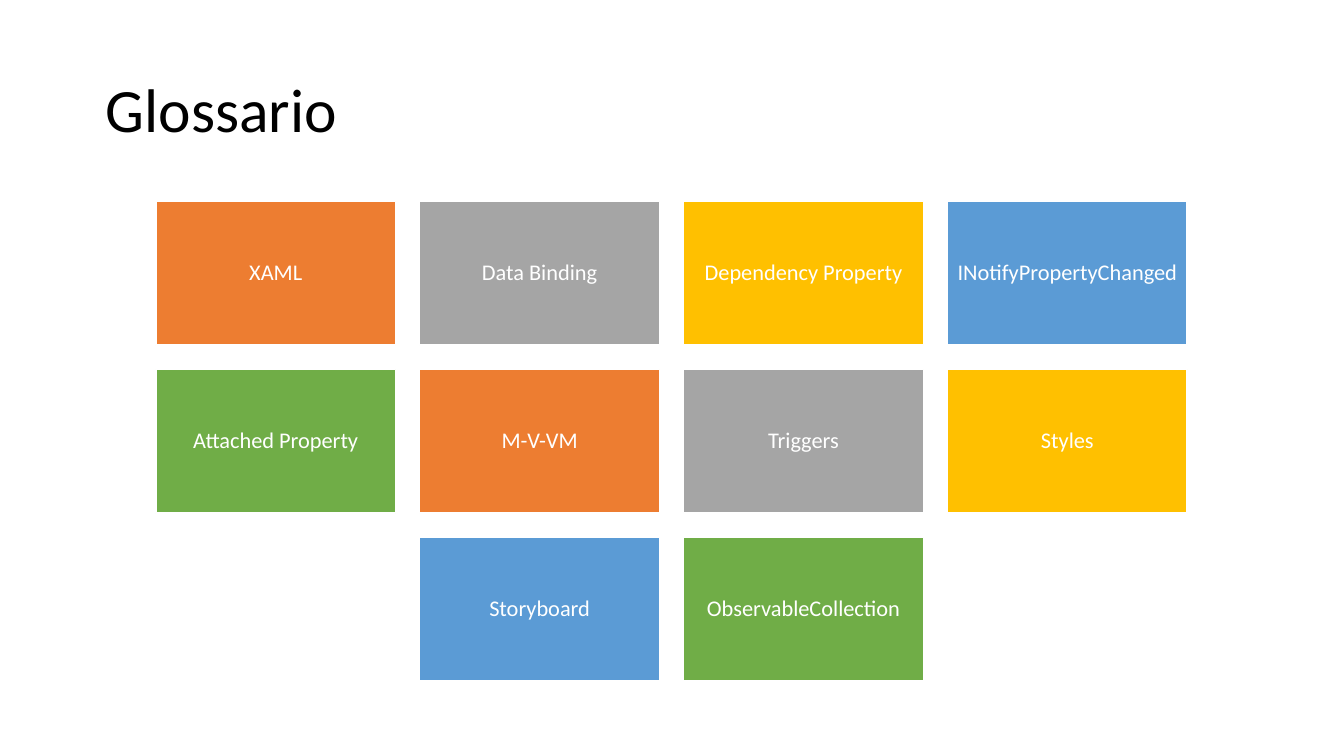
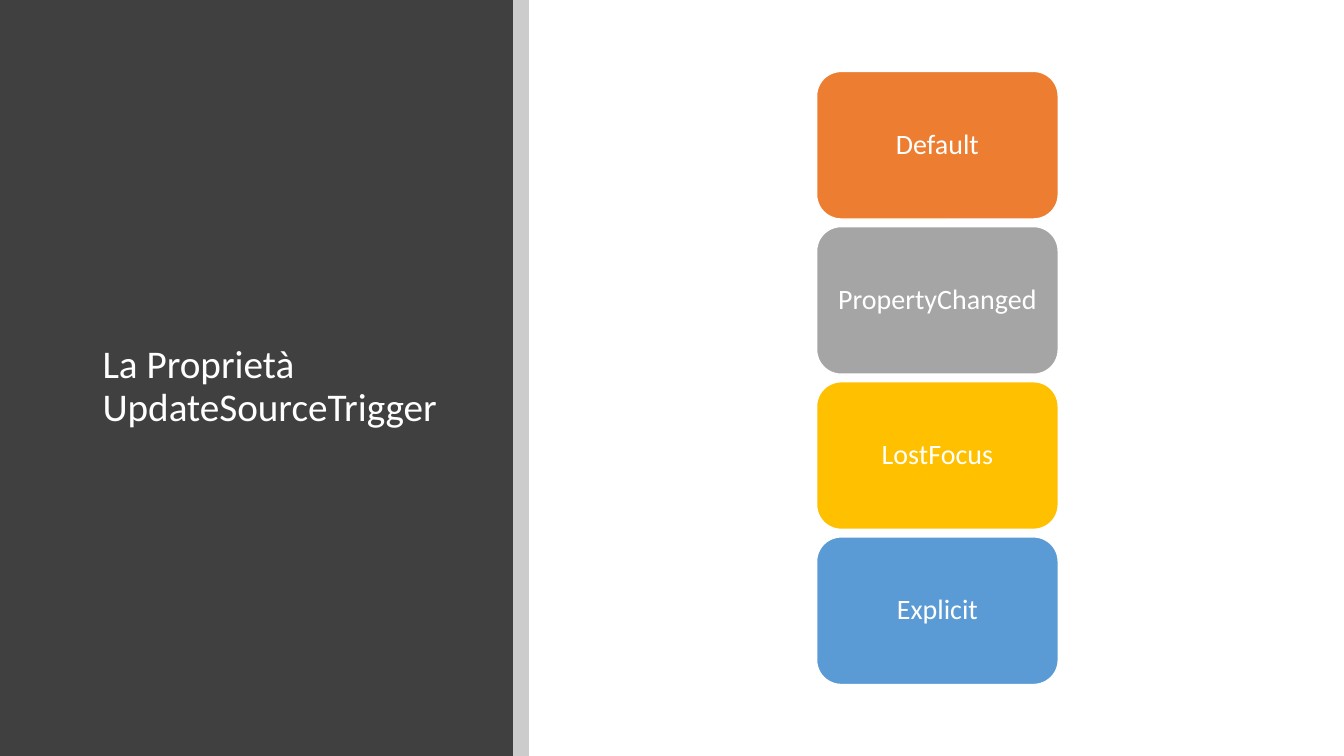
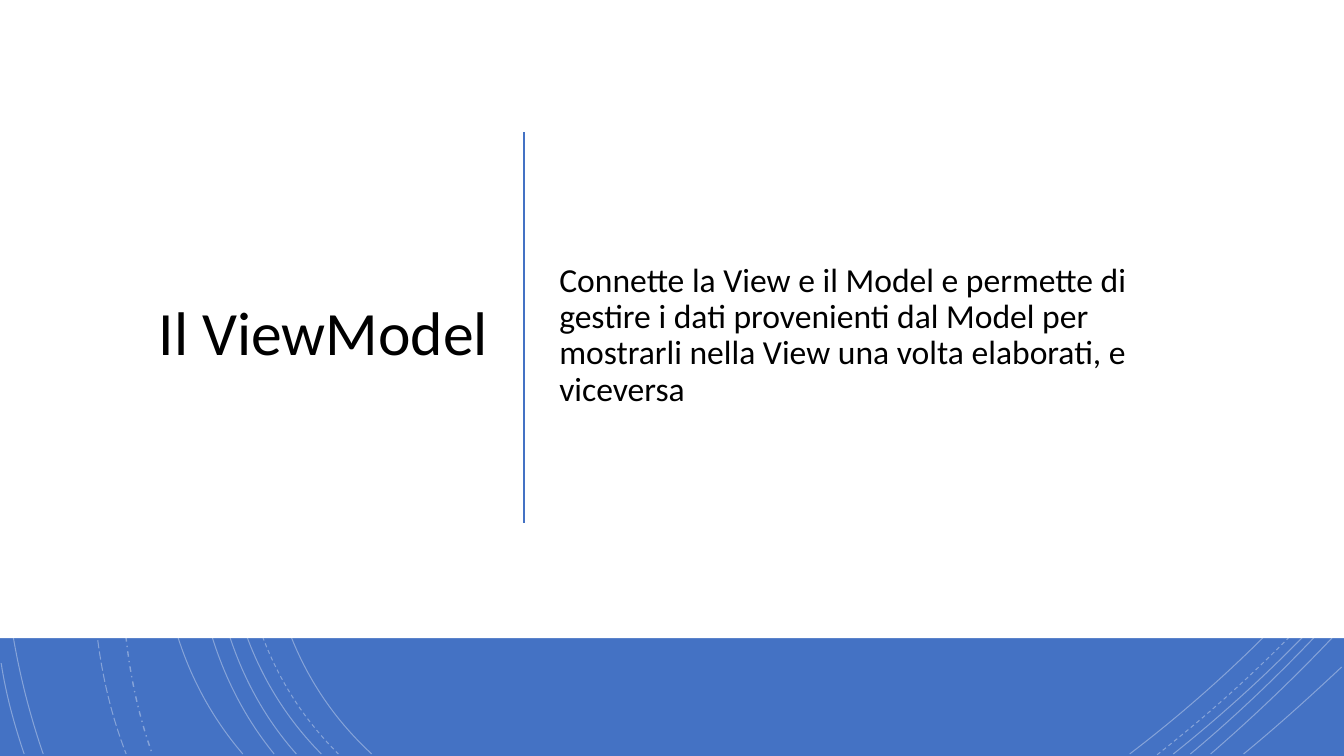
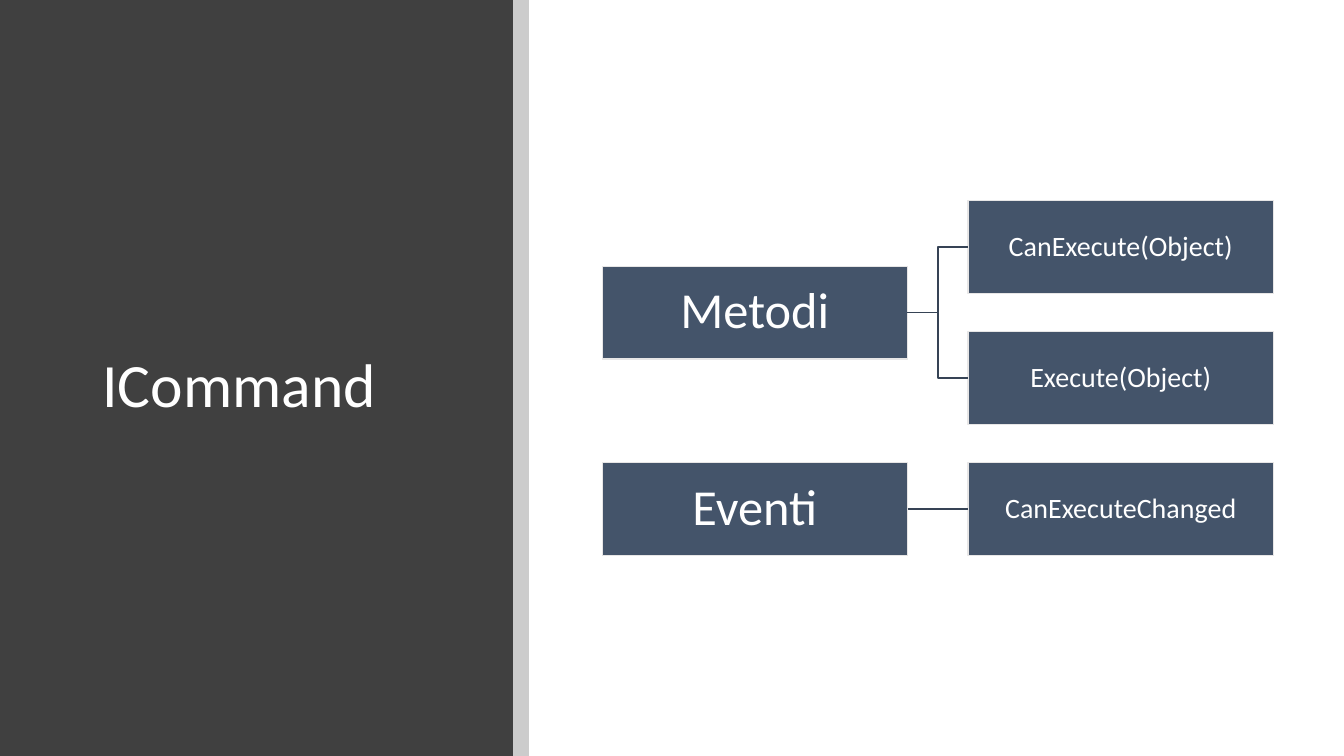
from dataclasses import dataclass

from lxml.etree import SubElement
from pptx import Presentation
from pptx.dml.color import RGBColor
from pptx.enum.dml import MSO_LINE_DASH_STYLE as Dash
from pptx.enum.shapes import MSO_AUTO_SHAPE_TYPE as ShapeType, MSO_CONNECTOR as Connector
from pptx.enum.text import MSO_ANCHOR as Anchor, MSO_AUTO_SIZE as AutoSize, PP_ALIGN as Align
from pptx.oxml.ns import qn
from pptx.util import Cm, Pt


@dataclass(frozen=True)
class Theme:
    font: str = "Calibri"
    black: str = "000000"
    white: str = "FFFFFF"
    panel: str = "404040"
    blue: str = "4472C4"
    slate: str = "44546A"
    slate_border: str = "E7E6E6"
    slate_link: str = "364355"
    cycle: tuple = ("ED7D31", "A5A5A5", "FFC000", "5B9BD5", "70AD47")
    title: int = 44
    long_title: int = 28
    branch: int = 36
    body: int = 24
    label: int = 20
    tile: int = 16
    line_spacing: float = 0.9


THEME = Theme()
WIDTH, HEIGHT = 33.87, 19.05
TITLE_ONLY, TITLE_AND_BODY = 5, 1
SIDE_TITLE = (2.33, 2.25, 9.27, 15.01)

GLOSSARY = [
    "XAML", "Data Binding", "Dependency Property", "INotifyPropertyChanged",
    "Attached Property", "M-V-VM", "Triggers", "Styles",
    "Storyboard", "ObservableCollection",
]
TRIGGERS = ["Default", "PropertyChanged", "LostFocus", "Explicit"]
MEMBERS = {
    "Metodi": ["CanExecute(Object)", "Execute(Object)"],
    "Eventi": ["CanExecuteChanged"],
}

ARCS = [
    (Dash.SOLID, (14.35, 0), (8, 2.92), (3.63, 13.72), (9.37, 19)),
    (Dash.DASH, (13.34, 0), (7.24, 3.18), (3.12, 13.64), (8.53, 19)),
    (Dash.SOLID, (12.85, 0), (6.86, 3.23), (2.79, 13.64), (8.1, 19)),
    (Dash.SOLID, (11.79, 0), (6.2, 3.38), (2.79, 13.74), (7.47, 19)),
    (Dash.SOLID, (11.46, 0), (5.87, 3.51), (2.46, 13.54), (6.91, 19)),
    (Dash.SOLID, (10.85, 0), (5.51, 3.73), (1.35, 13.44), (6.12, 19)),
    (Dash.DASH_DOT, (9.22, 0), (4.47, 4.22), (1.65, 12.93), (3.84, 19)),
    (Dash.LONG_DASH, (8.92, 0), (3.99, 4.29), (0.74, 12.67), (3.18, 19)),
    (Dash.SOLID, (5.51, 0), (0.28, 4.7), (-1.17, 12.45), (1.09, 19)),
    (Dash.SOLID, (0.03, 16.71), (0.15, 17.5), (0.36, 18.26), (0.61, 19)),
    (Dash.SOLID, (28.47, 19), (30.4, 17.53), (32.23, 15.8), (33.81, 13.92)),
    (Dash.DASH, (29.16, 19.02), (30.81, 17.73), (32.39, 16.26), (33.78, 14.66)),
    (Dash.SOLID, (29.57, 19), (31.06, 17.81), (32.51, 16.46), (33.81, 15.01)),
    (Dash.SOLID, (30, 19), (31.34, 17.88), (32.61, 16.64), (33.81, 15.32)),
    (Dash.SOLID, (30.51, 19), (31.65, 18.01), (32.77, 16.94), (33.81, 15.82)),
    (Dash.SOLID, (31.34, 19), (32.18, 18.31), (32.99, 17.58), (33.81, 16.81)),
]


def apply(target, values):
    for name, value in values.items():
        setattr(target, name, value)


def set_color(color_format, color):
    color_format.rgb = RGBColor.from_string(color)


def set_alpha(shape, percent):
    for color in shape.element.spPr.iter(qn("a:srgbClr")):
        SubElement(color, qn("a:alpha"), val=str(percent * 1000))


def write(shape, text, size, color, align, inset=None):
    frame = shape.text_frame
    frame.text = text
    apply(frame, {"word_wrap": True, "auto_size": AutoSize.NONE, "vertical_anchor": Anchor.MIDDLE})
    if inset is not None:
        sides = ("margin_left", "margin_top", "margin_right", "margin_bottom")
        apply(frame, dict.fromkeys(sides, Cm(inset)))
    paragraph = frame.paragraphs[0]
    apply(paragraph, {"alignment": align, "line_spacing": THEME.line_spacing, "space_before": Pt(0)})
    font = paragraph.runs[0].font
    apply(font, {"name": THEME.font, "size": Pt(size)})
    set_color(font.color, color)


def remove_bullet(paragraph):
    properties = paragraph._p.get_or_add_pPr()
    for name in ("marL", "indent"):
        properties.set(name, "0")
    SubElement(properties, qn("a:buNone"))


def fill_placeholder(placeholder, box, text, size, color=THEME.black, align=Align.LEFT):
    apply(placeholder, dict(zip(("left", "top", "width", "height"), map(Cm, box))))
    write(placeholder, text, size, color, align)


def add_block(slide, box, fill, border=None, kind=ShapeType.RECTANGLE):
    shape = slide.shapes.add_shape(kind, *map(Cm, box))
    shape.shadow.inherit = False
    shape.fill.solid()
    set_color(shape.fill.fore_color, fill)
    if border:
        set_color(shape.line.color, border)
        shape.line.width = Pt(1)
    else:
        shape.line.fill.background()
    return shape


def add_label(slide, box, text, size, fill, inset, border=THEME.white, kind=ShapeType.RECTANGLE):
    shape = add_block(slide, box, fill, border, kind)
    write(shape, text, size, THEME.white, Align.CENTER, inset)
    return shape


def add_line(slide, kind, color, start=(0, 0), end=(0, 0)):
    line = slide.shapes.add_connector(kind, *map(Cm, start + end))
    set_color(line.line.color, color)
    line.line.width = Pt(1)
    SubElement(line.element.spPr, qn("a:effectLst"))
    return line


def link(slide, parent, child):
    kind = Connector.STRAIGHT if parent.top == child.top else Connector.ELBOW
    line = add_line(slide, kind, THEME.slate_link)
    line.begin_connect(parent, 3)
    line.end_connect(child, 1)


def curve_segments(shape):
    segments = list(shape.element.spPr.iter(qn("a:lnTo")))
    outline = segments[0].getparent()
    curve = SubElement(outline, qn("a:cubicBezTo"))
    for segment in segments:
        curve.extend(list(segment))
        outline.remove(segment)


def add_arc(slide, dash, *points):
    start, *others = [tuple(map(Cm, point)) for point in points]
    builder = slide.shapes.build_freeform(*start)
    builder.add_line_segments(others, close=False)
    arc = builder.convert_to_shape()
    curve_segments(arc)
    arc.shadow.inherit = False
    arc.fill.background()
    set_color(arc.line.color, THEME.white)
    apply(arc.line, {"width": Pt(1 if dash == Dash.DASH_DOT else 0.75), "dash_style": dash})
    set_alpha(arc, 35)


def new_slide(presentation, layout=TITLE_ONLY):
    return presentation.slides.add_slide(presentation.slide_layouts[layout])


def bring_to_front(shape):
    shape.element.getparent().append(shape.element)


def add_side_slide(presentation, title, size):
    slide = new_slide(presentation)
    add_block(slide, (0, 0, 12.93, HEIGHT), THEME.panel)
    bring_to_front(slide.shapes.title)
    fill_placeholder(slide.shapes.title, SIDE_TITLE, title, size, THEME.white)
    set_alpha(add_block(slide, (12.93, 0, 0.4, HEIGHT), THEME.black), 20)
    return slide


def add_glossary(presentation):
    slide = new_slide(presentation)
    fill_placeholder(slide.shapes.title, (2.41, 1.68, 29.03, 2.29), "Glossario", THEME.title)
    columns, width, height, gap = 4, 6.04, 3.62, 0.61
    for index, term in enumerate(GLOSSARY):
        row, column = divmod(index, columns)
        in_row = min(columns, len(GLOSSARY) - row * columns)
        column += (columns - in_row) / 2
        box = (3.93 + column * (width + gap), 5.08 + row * (height + gap), width, height)
        add_label(slide, box, term, THEME.tile, THEME.cycle[index % len(THEME.cycle)], 0.17)


def add_update_triggers(presentation):
    slide = add_side_slide(presentation, "La Proprietà UpdateSourceTrigger", THEME.long_title)
    for index, (name, color) in enumerate(zip(TRIGGERS, THEME.cycle)):
        box = (20.58, 1.8 + index * 3.91, 6.09, 3.72)
        add_label(slide, box, name, THEME.label, color, 0.2, kind=ShapeType.ROUNDED_RECTANGLE)


def add_view_model(presentation):
    slide = new_slide(presentation, TITLE_AND_BODY)
    title, body = slide.placeholders
    add_block(slide, (0, 0, WIDTH, HEIGHT), THEME.blue)
    for arc in ARCS:
        add_arc(slide, *arc)
    add_block(slide, (0, 0, WIDTH, 16.08), THEME.white)
    bring_to_front(title)
    fill_placeholder(title, (1.82, 2.67, 10.74, 11.58), "Il ViewModel", THEME.title, align=Align.RIGHT)
    add_line(slide, Connector.STRAIGHT, THEME.blue, (13.21, 3.33), (13.21, 13.18))
    bring_to_front(body)
    text = ("Connette la View e il Model e permette di gestire i dati provenienti dal Model "
            "per mostrarli nella View una volta elaborati, e viceversa")
    fill_placeholder(body, (13.84, 2.67, 15.32, 11.58), text, THEME.body)
    remove_bullet(body.text_frame.paragraphs[0])


def add_command(presentation):
    slide = add_side_slide(presentation, "ICommand", THEME.title)

    def add_node(left, row, text, size, inset):
        box = (left, 5.06 + row * 3.3, 7.69, 2.34)
        return add_label(slide, box, text, size, THEME.slate, inset, THEME.slate_border)

    first_row = 0
    for group, members in MEMBERS.items():
        middle = first_row + (len(members) - 1) / 2
        parent = add_node(15.18, middle, group, THEME.branch, 0.08)
        for row, member in enumerate(members, first_row):
            link(slide, parent, add_node(24.4, row, member, THEME.label, 0.03))
        first_row += len(members)


def main():
    presentation = Presentation()
    apply(presentation, {"slide_width": Cm(WIDTH), "slide_height": Cm(HEIGHT)})
    add_glossary(presentation)
    add_update_triggers(presentation)
    add_view_model(presentation)
    add_command(presentation)
    presentation.save("out.pptx")


if __name__ == "__main__":
    main()
